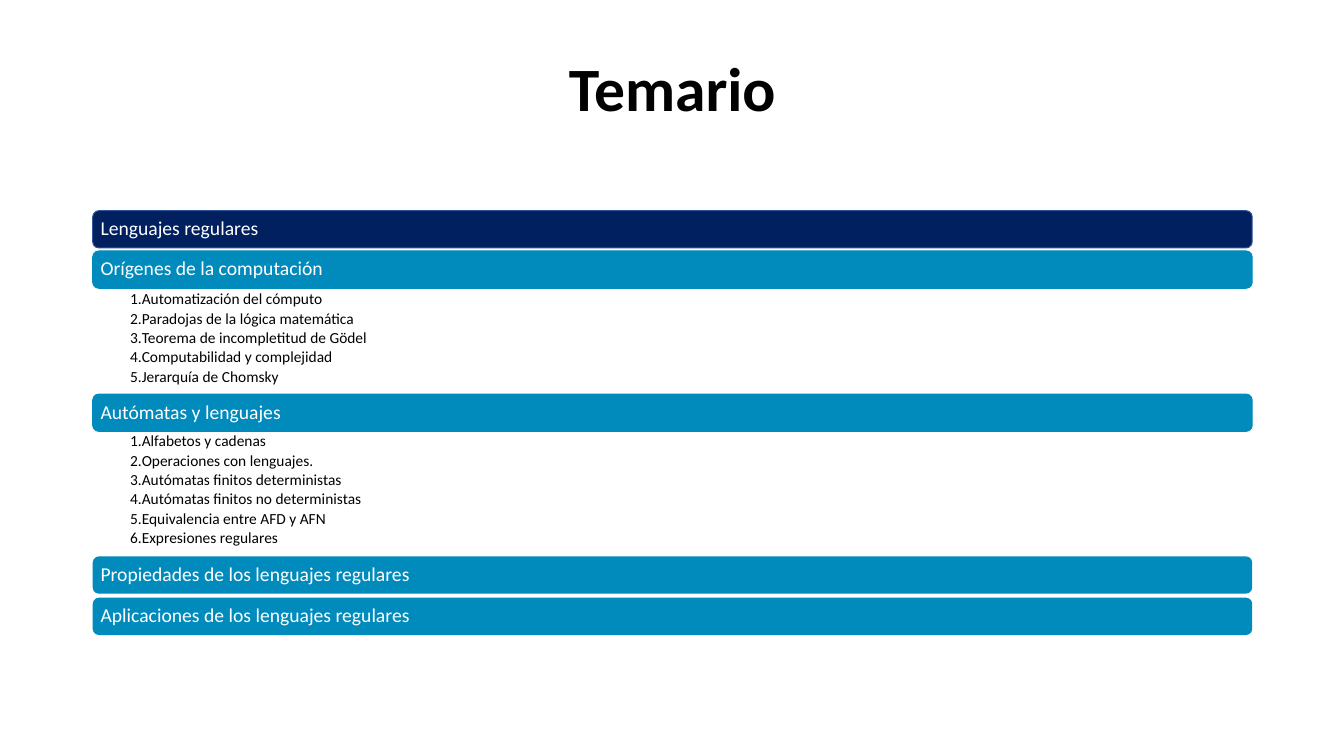
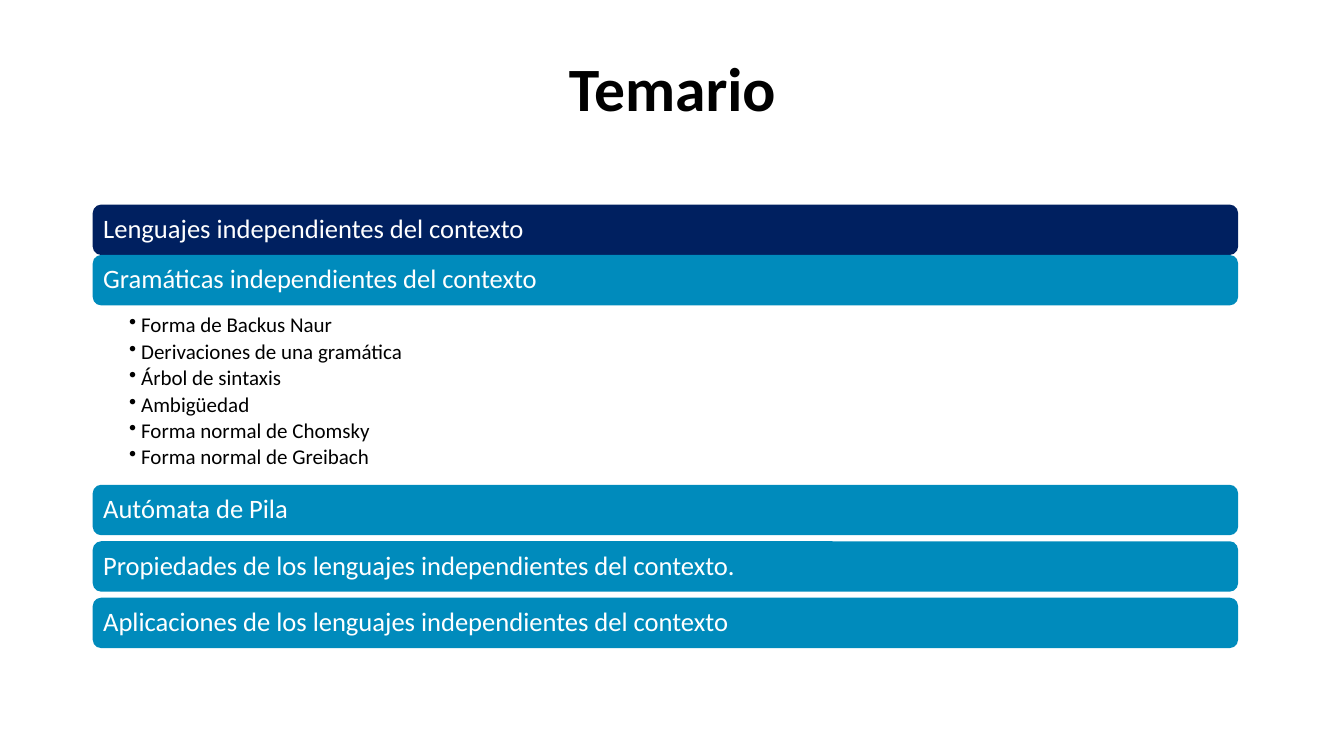
"""Build two syllabus slides made of headed bands and topic lists."""
from dataclasses import dataclass
from typing import Any

from lxml.etree import SubElement
from pptx import Presentation
from pptx.dml.color import RGBColor
from pptx.enum.shapes import MSO_SHAPE
from pptx.enum.text import MSO_ANCHOR, PP_ALIGN
from pptx.oxml.ns import qn
from pptx.util import Inches, Pt

COLORS = {
    "text": "000000",
    "band_text": "FFFFFF",
    "unit": "002060",
    "unit_edge": "2F5597",
    "topic": "008BBC",
}
FONT = "Calibri"
LEFT = 0.92
LINE_SPACING = 0.9
ITEM_SPACING = 0.18


@dataclass(frozen=True)
class Band:
    top: float
    text: str
    fill: str = "topic"
    edge: str | None = None
    items: tuple[str, ...] = ()
    items_gap: float = 0


@dataclass(frozen=True)
class Style:
    width: float
    height: float
    inset: float
    size: float
    item_size: float
    item_insets: tuple[float, float, float, float]
    indent: float
    bullet: tuple[str, dict[str, str]]


@dataclass(frozen=True)
class Syllabus:
    title: str
    style: Style
    bands: tuple[Band, ...]


NUMBERED = Style(11.5, 0.37, 0.06, 14, 11, (0.37, 0.02, 0.11, 0.02), 0.06,
                 ("a:buAutoNum", {"type": "arabicPeriod"}))
BULLETED = Style(11.36, 0.5, 0.08, 19, 15, (0.36, 0.03, 0.15, 0.03), 0.12,
                 ("a:buChar", {"char": "•"}))

SYLLABUSES = (
    Syllabus("Temario", NUMBERED, (
        Band(2.09, "Lenguajes regulares", "unit", "unit_edge"),
        Band(2.49, "Orígenes de la computación", edge="topic", items=(
            "Automatización del cómputo",
            "Paradojas de la lógica matemática",
            "Teorema de incompletitud de Gödel",
            "Computabilidad y complejidad",
            "Jerarquía de Chomsky",
        ), items_gap=0.01),
        Band(3.91, "Autómatas y lenguajes", edge="topic", items=(
            "Alfabetos y cadenas",
            "Operaciones con lenguajes.",
            "Autómatas finitos deterministas",
            "Autómatas finitos no deterministas",
            "Equivalencia entre AFD y AFN",
            "Expresiones regulares",
        )),
        Band(5.52, "Propiedades de los lenguajes regulares"),
        Band(5.93, "Aplicaciones de los lenguajes regulares"),
    )),
    Syllabus("Temario", BULLETED, (
        Band(2.03, "Lenguajes independientes del contexto", "unit"),
        Band(2.53, "Gramáticas independientes del contexto", items=(
            "Forma de Backus Naur",
            "Derivaciones de una gramática",
            "Árbol de sintaxis",
            "Ambigüedad",
            "Forma normal de Chomsky",
            "Forma normal de Greibach",
        ), items_gap=0.06),
        Band(4.81, "Autómata de Pila"),
        Band(5.37, "Propiedades de los lenguajes independientes del contexto."),
        Band(5.93, "Aplicaciones de los lenguajes independientes del contexto"),
    )),
)


def set_all(target: Any, values: dict[str, Any]) -> None:
    for name, value in values.items():
        setattr(target, name, value)


def color(name: str) -> RGBColor:
    return RGBColor.from_string(COLORS[name])


def set_frame(frame: Any, insets: tuple[float, ...], anchor: MSO_ANCHOR) -> None:
    sides = ("margin_left", "margin_top", "margin_right", "margin_bottom")
    margins = {side: Inches(inset) for side, inset in zip(sides, insets)}
    set_all(frame, {"word_wrap": True, "vertical_anchor": anchor, **margins})


def write(para: Any, text: str, size: float, color_name: str,
          align: PP_ALIGN = PP_ALIGN.LEFT, bold: bool = False) -> None:
    set_all(para, {"alignment": align, "line_spacing": LINE_SPACING})
    span = para.add_run()
    span.text = text
    set_all(span.font, {"name": FONT, "size": Pt(size), "bold": bold})
    span.font.color.rgb = color(color_name)


def add_title(page: Any, text: str) -> None:
    box = page.shapes.add_textbox(Inches(LEFT), Inches(0.4), Inches(11.5), Inches(1.01))
    set_frame(box.text_frame, (0.1, 0.05, 0.1, 0.05), MSO_ANCHOR.MIDDLE)
    write(box.text_frame.paragraphs[0], text, 44, "text", PP_ALIGN.CENTER, True)


def add_band(page: Any, band: Band, style: Style) -> None:
    box = page.shapes.add_shape(
        MSO_SHAPE.ROUNDED_RECTANGLE, Inches(LEFT), Inches(band.top),
        Inches(style.width), Inches(style.height))
    box.shadow.inherit = False
    box.fill.solid()
    box.fill.fore_color.rgb = color(band.fill)
    if band.edge:
        box.line.color.rgb = color(band.edge)
        box.line.width = Pt(0.75)
    else:
        box.line.fill.background()
    set_frame(box.text_frame, (style.inset,) * 4, MSO_ANCHOR.MIDDLE)
    write(box.text_frame.paragraphs[0], band.text, style.size, "band_text")


def add_items(page: Any, band: Band, bottom: float, style: Style) -> None:
    top = band.top + style.height + band.items_gap
    box = page.shapes.add_textbox(
        Inches(LEFT), Inches(top), Inches(style.width), Inches(bottom - top))
    frame = box.text_frame
    set_frame(frame, style.item_insets, MSO_ANCHOR.TOP)
    tag, attributes = style.bullet
    for index, item in enumerate(band.items):
        para = frame.add_paragraph() if index else frame.paragraphs[0]
        write(para, item, style.item_size, "text")
        para.space_after = Pt(style.item_size * ITEM_SPACING)
        properties = para._p.get_or_add_pPr()
        properties.set("marL", str(Inches(style.indent)))
        properties.set("indent", str(-Inches(style.indent)))
        SubElement(properties, qn(tag), attributes)


def add_syllabus(deck: Any, syllabus: Syllabus) -> None:
    page = deck.slides.add_slide(deck.slide_layouts[6])
    add_title(page, syllabus.title)
    for index, band in enumerate(syllabus.bands):
        add_band(page, band, syllabus.style)
        if band.items:
            add_items(page, band, syllabus.bands[index + 1].top, syllabus.style)


def main() -> None:
    deck = Presentation()
    set_all(deck, {"slide_width": Inches(13.33), "slide_height": Inches(7.5)})
    for syllabus in SYLLABUSES:
        add_syllabus(deck, syllabus)
    deck.save("out.pptx")


if __name__ == "__main__":
    main()
